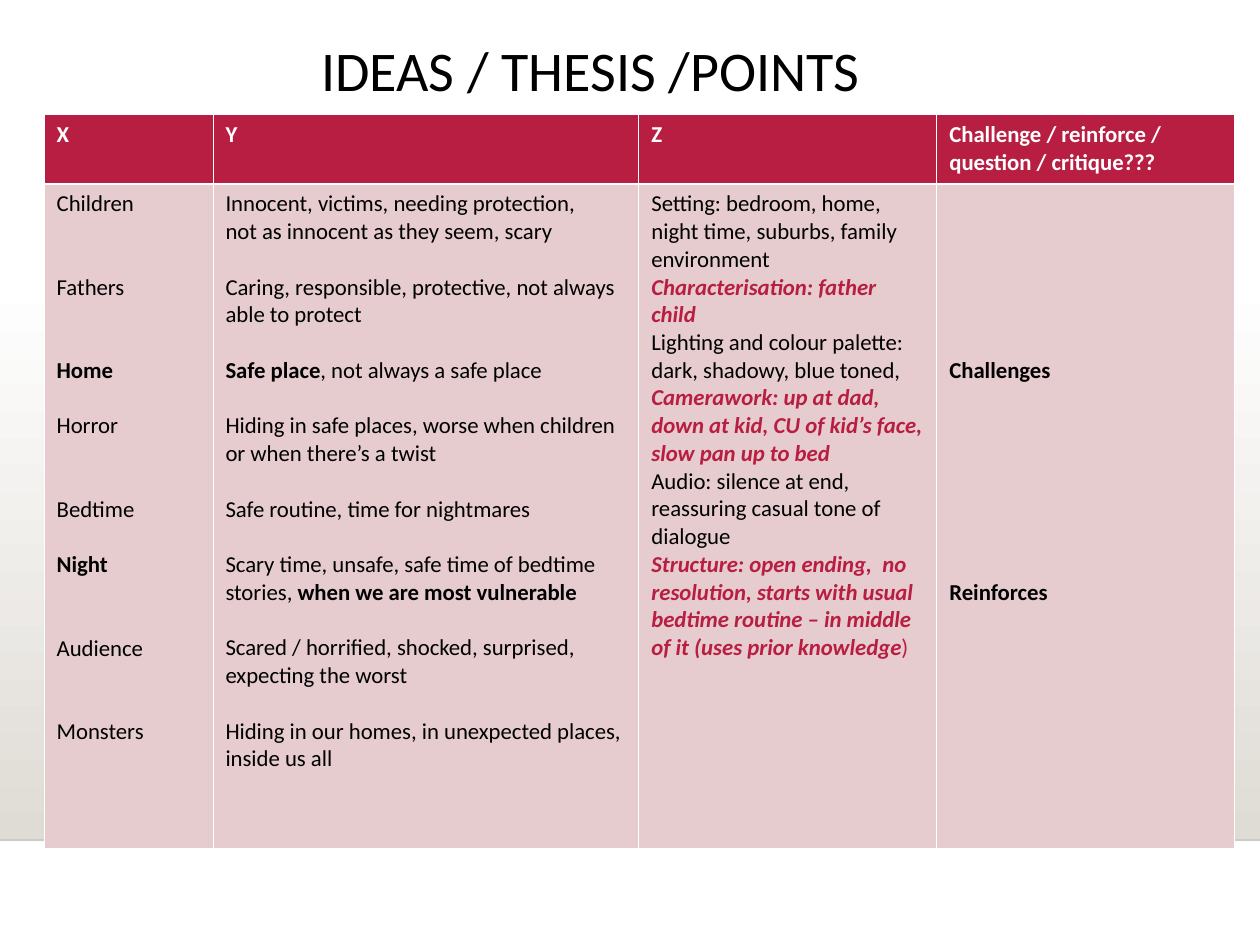
from dataclasses import dataclass

from lxml import etree
from pptx import Presentation
from pptx import util as u
from pptx.dml.color import RGBColor
from pptx.enum import shapes, text
from pptx.oxml import ns


@dataclass(frozen=True)
class Theme:
    font: str = "Calibri"
    title_size: float = 32
    body_size: float = 13
    line_pitch: float = 15.87
    ink: str = "000000"
    paper: str = "FFFFFF"
    accent: str = "B71E42"
    tint: str = "E6CCCF"
    floor: str = "DFDBD5"
    thin: float = 0.45
    thick: float = 1.47


THEME = Theme()
STYLES = {
    "plain": {},
    "bold": {"bold": True},
    "accent": {"color": THEME.accent},
    "technique": {"color": THEME.accent, "bold": True, "italic": True},
    "header": {"color": THEME.paper, "bold": True},
}
TITLE = "IDEAS / THESIS /POINTS"
HEADERS = ["X", "Y", "Z", "Challenge / reinforce / question / critique???"]
TOPICS = [
    (("Children", "plain"), 2, [[("Innocent, victims, needing protection,", "plain")],
                                [("not as innocent as they seem, scary", "plain")]]),
    (("Fathers", "plain"), 2, [[("Caring, responsible, protective, not always able to protect", "plain")]]),
    (("Home", "bold"), 1, [[("Safe place", "bold"), (", not always a safe place", "plain")]]),
    (("Horror", "plain"), 2, [[("Hiding in safe places, worse when children or when there’s a twist", "plain")]]),
    (("Bedtime", "plain"), 1, [[("Safe routine, time for nightmares", "plain")]]),
    (("Night", "bold"), 2, [[("Scary time, unsafe, safe time of bedtime stories, ", "plain"),
                             ("when we are most vulnerable", "bold")]]),
    (("Audience", "plain"), 2, [[("Scared / horrified, shocked, surprised,  expecting the worst", "plain")]]),
    (("Monsters", "plain"), 2, [[("Hiding in our homes, in unexpected places, inside us all", "plain")]]),
]
TECHNIQUES = [
    [("Setting: bedroom, home, night time, suburbs, family environment", "plain")],
    [("Characterisation: father child", "technique")],
    [("Lighting and colour palette: dark, shadowy, blue toned,", "plain")],
    [("Camerawork: up at dad, down at kid, CU of kid’s face, slow pan up to bed", "technique")],
    [("Audio: silence at end, reassuring casual tone of dialogue", "plain")],
    [("Structure: open ending,  no resolution, starts with usual bedtime routine – "
      "in middle of it (uses prior knowledge", "technique"), (")", "accent")],
]
VERDICTS = [(6, "Challenges"), (14, "Reinforces")]
COLUMNS = [1.34, 3.38, 2.365, 2.365]
ROWS = [0.55, 5.27]


def add_run(paragraph, words, size=THEME.body_size, color=THEME.ink, bold=False, italic=False):
    run = paragraph.add_run()
    run.text = words
    run.font.name = THEME.font
    run.font.size = u.Pt(size)
    run.font.color.rgb = RGBColor.from_string(color)
    run.font.bold = bold
    run.font.italic = italic


def write_cell(cell, paragraphs, first_line=0):
    frame = cell.text_frame
    cell.margin_left = cell.margin_right = u.Inches(0.1)
    cell.margin_top = u.Inches(0.05) + u.Pt(first_line * THEME.line_pitch)
    cell.margin_bottom = u.Inches(0.05)
    for index, (blank_lines, runs) in enumerate(paragraphs):
        paragraph = frame.paragraphs[0] if index == 0 else frame.add_paragraph()
        if blank_lines:
            paragraph.space_before = u.Pt(blank_lines * THEME.line_pitch)
        for words, style in runs:
            add_run(paragraph, words, **STYLES[style])


def dress_cell(cell, color, **thick_sides):
    properties = cell._tc.get_or_add_tcPr()
    for side in ("lnL", "lnR", "lnT", "lnB"):
        width = THEME.thick if side in thick_sides else THEME.thin
        border = etree.SubElement(properties, ns.qn("a:" + side), w=str(u.Pt(width)))
        fill = etree.SubElement(border, ns.qn("a:solidFill"))
        etree.SubElement(fill, ns.qn("a:srgbClr"), val=THEME.paper)
    cell.fill.solid()
    cell.fill.fore_color.rgb = RGBColor.from_string(color)


def add_backdrop(slide, width, height):
    top, bottom = u.Inches(2.2), u.Inches(6.67)
    panel = slide.shapes.add_shape(shapes.MSO_SHAPE.RECTANGLE, 0, top, width, bottom - top)
    panel.shadow.inherit = False
    panel.line.fill.background()
    panel.fill.gradient()
    panel.fill.gradient_angle = 270
    for stop, color in zip(panel.fill.gradient_stops, (THEME.paper, THEME.floor)):
        stop.color.rgb = RGBColor.from_string(color)
    edge = slide.shapes.add_connector(shapes.MSO_CONNECTOR.STRAIGHT, 0, bottom, width, bottom)
    edge.line.width = u.Pt(1)
    edge.line.color.rgb = RGBColor.from_string(THEME.ink)
    color = edge.line._ln.find(".//" + ns.qn("a:srgbClr"))
    etree.SubElement(color, ns.qn("a:alpha"), val="20000")
    etree.SubElement(edge._element.spPr, ns.qn("a:effectLst"))


def add_title(slide):
    title = slide.shapes.title
    title.left, title.top, title.width, title.height = map(u.Inches, (2.45, 0.29, 7.19, 1.15))
    frame = title.text_frame
    frame.vertical_anchor = text.MSO_ANCHOR.TOP
    frame.auto_size = text.MSO_AUTO_SIZE.NONE
    paragraph = frame.paragraphs[0]
    paragraph.alignment = text.PP_ALIGN.LEFT
    paragraph.line_spacing = 0.9
    add_run(paragraph, TITLE, size=THEME.title_size)


def body_columns():
    names, descriptions = [], []
    previous_span = 0
    for name, span, paragraphs in TOPICS:
        names.append((previous_span, [name]))
        for index, runs in enumerate(paragraphs):
            descriptions.append((1 if descriptions and index == 0 else 0, runs))
        previous_span = span
    verdicts, next_line = [], VERDICTS[0][0]
    for line, word in VERDICTS:
        verdicts.append((line - next_line, [(word, "bold")]))
        next_line = line + 1
    return names, descriptions, [(0, runs) for runs in TECHNIQUES], verdicts


def add_ideas_table(slide):
    frame = slide.shapes.add_table(len(ROWS), len(COLUMNS), u.Inches(0.35), u.Inches(0.91),
                                   u.Inches(sum(COLUMNS)), u.Inches(sum(ROWS)))
    table = frame.table
    table.horz_banding = False
    for column, width in zip(table.columns, COLUMNS):
        column.width = u.Inches(width)
    for row, height in zip(table.rows, ROWS):
        row.height = u.Inches(height)
    first_lines = [0, 0, 0, VERDICTS[0][0]]
    for index, (header, body, line) in enumerate(zip(HEADERS, body_columns(), first_lines)):
        write_cell(table.cell(0, index), [(0, [(header, "header")])])
        dress_cell(table.cell(0, index), THEME.accent, lnB=True)
        write_cell(table.cell(1, index), body, first_line=line)
        dress_cell(table.cell(1, index), THEME.tint, lnT=True)


def main():
    presentation = Presentation()
    presentation.slide_width, presentation.slide_height = u.Inches(10), u.Inches(7.5)
    slide = presentation.slides.add_slide(presentation.slide_layouts[5])
    add_backdrop(slide, presentation.slide_width, presentation.slide_height)
    add_title(slide)
    add_ideas_table(slide)
    presentation.save("out.pptx")


if __name__ == "__main__":
    main()
